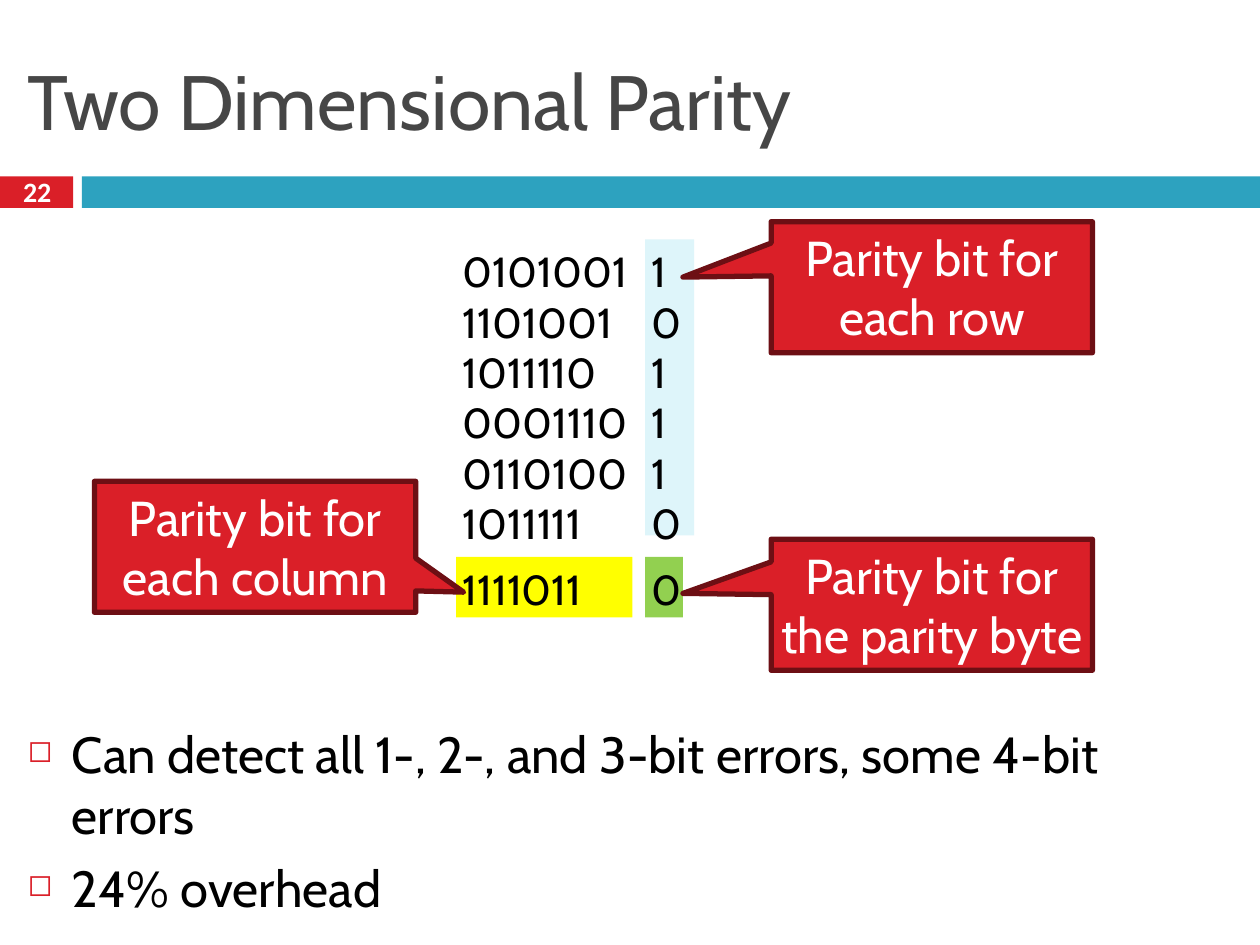
from lxml.etree import SubElement
from pptx import Presentation
from pptx.dml.color import RGBColor
from pptx.enum.shapes import MSO_SHAPE
from pptx.enum.text import MSO_ANCHOR, PP_ALIGN
from pptx.oxml.ns import qn
from pptx.util import Inches, Pt

RED, BLUE, DARK_RED = "DA1F28", "2DA2BF", "6D0F14"
ROWS = ["0101001", "1101001", "1011110", "0001110", "0110100", "1011111"]
ROW_PARITY = ["1", "0", "1", "1", "1", "0"]
BOX_W, BOX_H = 2.55, 1.04


def rgb(value):
    return RGBColor.from_string(value)


class ParitySlide:
    """Holds the text style and the slide being drawn."""

    font = "Cabin"
    inset = Inches(0.05)

    def __init__(self, slide):
        self.slide = slide

    def rect(self, x, y, w, h, fill):
        s = self.slide.shapes.add_shape(
            MSO_SHAPE.RECTANGLE, Inches(x), Inches(y), Inches(w), Inches(h))
        s.shadow.inherit = False
        s.fill.solid()
        s.fill.fore_color.rgb = rgb(fill)
        s.line.fill.background()
        return s

    def text(self, x, y, w, h, lines, size, color="000000", fill=None,
             align=PP_ALIGN.LEFT, anchor=MSO_ANCHOR.TOP, font=font, bold=False):
        if fill:
            s = self.rect(x, y, w, h, fill)
        else:
            s = self.slide.shapes.add_textbox(Inches(x), Inches(y), Inches(w), Inches(h))
        tf = s.text_frame
        tf.word_wrap = True
        tf.vertical_anchor = anchor
        tf.margin_left = tf.margin_right = tf.margin_top = tf.margin_bottom = self.inset
        tf.text = "\n".join(lines)
        for p in tf.paragraphs:
            p.alignment = align
            for r in p.runs:
                r.font.name, r.font.size, r.font.bold = font, Pt(size), bold
                r.font.color.rgb = rgb(color)
        return tf

    def bullets(self, x, y, w, h, lines, size):
        for p in self.text(x, y, w, h, lines, size).paragraphs:
            p.space_before = Pt(7)
            pPr = p._p.get_or_add_pPr()
            pPr.set("marL", str(Inches(0.35)))
            pPr.set("indent", str(-Inches(0.35)))
            color = SubElement(pPr, qn("a:buClr"))
            SubElement(color, qn("a:srgbClr"), val=RED)
            SubElement(pPr, qn("a:buSzPct"), val="60000")
            SubElement(pPr, qn("a:buChar"), char="◻")

    def callout(self, x, y, label, pointer):
        right, bottom = x + BOX_W, y + BOX_H
        points = [(x, y), *pointer, (x, bottom), (right, bottom), (right, y)]
        if pointer[0][0] > x:
            points = [(x, y), (x, bottom), (right, bottom), *pointer, (right, y)]
        points = [(Inches(px), Inches(py)) for px, py in points]
        builder = self.slide.shapes.build_freeform(*points[0], scale=1.0)
        builder.add_line_segments(points[1:], close=True)
        s = builder.convert_to_shape()
        s.shadow.inherit = False
        s.fill.solid()
        s.fill.fore_color.rgb = rgb(RED)
        s.line.color.rgb = rgb(DARK_RED)
        s.line.width = Pt(3)
        self.text(x, y, BOX_W, 0.96, [label], 28, "FFFFFF", align=PP_ALIGN.CENTER)


def main():
    prs = Presentation()
    prs.slide_width, prs.slide_height = Inches(10), Inches(7.5)
    page = ParitySlide(prs.slides.add_slide(prs.slide_layouts[6]))

    page.rect(0, 1.4, 0.58, 0.25, RED)
    page.rect(0.65, 1.4, 9.35, 0.25, BLUE)
    page.text(0.17, 0.25, 9.67, 1.08, ["Two Dimensional Parity"], 44, "464646",
              anchor=MSO_ANCHOR.MIDDLE)
    number = page.text(0.12, 1.37, 0.35, 0.35, ["22"], 16, "FFFFFF", font="Calibri",
                       bold=True, align=PP_ALIGN.CENTER, anchor=MSO_ANCHOR.MIDDLE)
    number.paragraphs[0].line_spacing = 0.8
    page.bullets(0.17, 5.69, 9.67, 1.65,
                 ["Can detect all 1-, 2-, and 3-bit errors, some 4-bit errors",
                  "24% overhead"], 29)

    page.text(3.62, 1.9, 1.49, 2.35, ROWS, 24)
    page.text(5.12, 1.9, 0.39, 2.35, ROW_PARITY, 24, fill="DEF5FA")
    page.text(3.62, 4.42, 1.4, 0.48, ["1111011"], 24, fill="FFFF00")
    page.text(5.12, 4.42, 0.3, 0.48, ["0"], 24, fill="92D050")

    page.callout(6.12, 1.76, "Parity bit for each row",
                 [(6.12, 1.93), (5.42, 2.2), (6.12, 2.19)])
    page.callout(0.75, 3.82, "Parity bit for each column",
                 [(3.3, 4.69), (3.68, 4.7), (3.3, 4.43)])
    page.callout(6.12, 4.28, "Parity bit for the parity byte",
                 [(6.12, 4.46), (5.42, 4.71), (6.12, 4.72)])
    prs.save("out.pptx")


if __name__ == "__main__":
    main()
